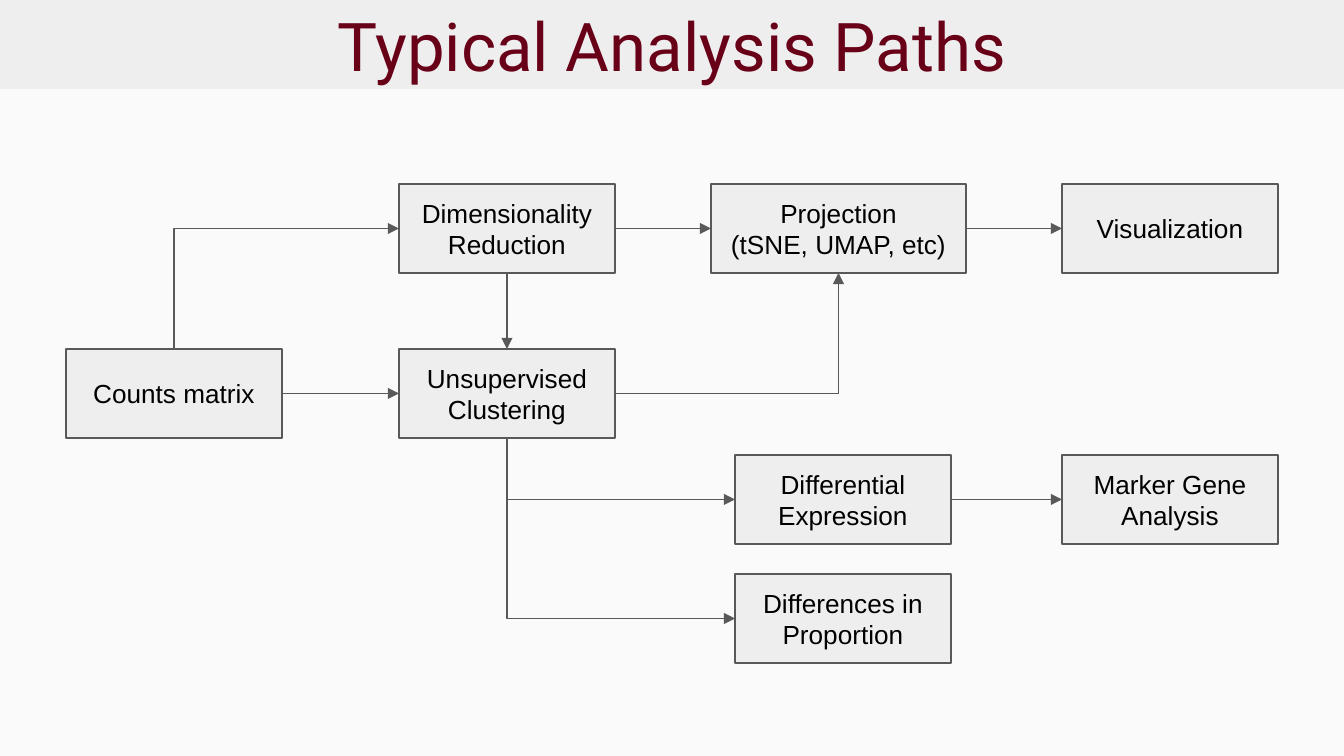
from dataclasses import dataclass

from lxml import etree
from pptx import Presentation
from pptx import util as u
from pptx.dml.color import RGBColor
from pptx.enum import shapes, text
from pptx.oxml.ns import qn

PX = 914400 / 134.4  # EMU in one px

PAPER = RGBColor(0xFA, 0xFA, 0xFA)
PANEL = RGBColor(0xEE, 0xEE, 0xEE)
GREY = RGBColor(0x59, 0x59, 0x59)
BLACK = RGBColor(0, 0, 0)
MAROON = RGBColor(0x68, 0x00, 0x18)

TOP, LEFT, BOTTOM, RIGHT = range(4)
BOX_WIDTH, BOX_HEIGHT = 216, 89
COUNTS_X, CORE_X, RESULT_X, FINAL_X = 66, 399, 735, 1062
PATH_Y, CLUSTER_Y, EXPRESSION_Y, PROPORTION_Y = 184, 349, 455, 574


@dataclass(frozen=True)
class Step:
    name: str
    label: str
    left: int
    top: int
    width: int = BOX_WIDTH


@dataclass(frozen=True)
class Arrow:
    source: str
    target: str
    leaves: int = RIGHT
    enters: int = LEFT

    @property
    def straight(self) -> bool:
        return (self.leaves + self.enters) % 2 == 0


STEPS = [
    Step("counts", "Counts matrix", COUNTS_X, CLUSTER_Y),
    Step("reduction", "Dimensionality Reduction", CORE_X, PATH_Y),
    Step("clustering", "Unsupervised Clustering", CORE_X, CLUSTER_Y),
    Step("projection", "Projection\n(tSNE, UMAP, etc)", 711, PATH_Y, 255),
    Step("visualization", "Visualization", FINAL_X, PATH_Y),
    Step("expression", "Differential Expression", RESULT_X, EXPRESSION_Y),
    Step("marker", "Marker Gene Analysis", FINAL_X, EXPRESSION_Y),
    Step("proportion", "Differences in Proportion", RESULT_X, PROPORTION_Y),
]
ARROWS = [
    Arrow("counts", "clustering"),
    Arrow("counts", "reduction", leaves=TOP),
    Arrow("reduction", "clustering", leaves=BOTTOM, enters=TOP),
    Arrow("reduction", "projection"),
    Arrow("clustering", "projection", enters=BOTTOM),
    Arrow("projection", "visualization"),
    Arrow("clustering", "expression", leaves=BOTTOM),
    Arrow("clustering", "proportion", leaves=BOTTOM),
    Arrow("expression", "marker"),
]


def px(length: float) -> u.Emu:
    return u.Emu(round(length * PX))


def write(box, words: str, *, font: str, size: int, color: RGBColor) -> None:
    frame = box.text_frame
    frame.word_wrap = True
    frame.auto_size = text.MSO_AUTO_SIZE.NONE
    frame.vertical_anchor = text.MSO_ANCHOR.MIDDLE
    frame.margin_left = frame.margin_right = u.Inches(0.1)
    frame.margin_top = frame.margin_bottom = u.Inches(0.1)
    para = frame.paragraphs[0]
    para.text = words
    para.alignment = text.PP_ALIGN.CENTER
    for span in para.runs:
        span.font.name = font
        span.font.size = u.Pt(size)
        span.font.color.rgb = color


def draw_step(page, step: Step):
    box = page.shapes.add_shape(
        shapes.MSO_SHAPE.RECTANGLE,
        px(step.left), px(step.top), px(step.width), px(BOX_HEIGHT))
    box.shadow.inherit = False
    box.fill.solid()
    box.fill.fore_color.rgb = PANEL
    box.line.color.rgb = GREY
    box.line.width = u.Pt(0.75)
    write(box, step.label, font="Arial", size=14, color=BLACK)
    return box


def side_middle(box, side: int) -> tuple[int, int]:
    across = {LEFT: 0, RIGHT: box.width}.get(side, box.width // 2)
    down = {TOP: 0, BOTTOM: box.height}.get(side, box.height // 2)
    return box.left + across, box.top + down


def bend_once(line, start: tuple[int, int], end: tuple[int, int],
              vertical_first: bool) -> None:
    """Give the connector a single corner, turned to leave the right side."""
    properties = line._element.spPr
    properties.find(qn("a:prstGeom")).set("prst", "bentConnector2")
    if not vertical_first:
        return
    (x1, y1), (x2, y2) = start, end
    # The frame is stored unrotated, about the same centre
    width, height = abs(y2 - y1), abs(x2 - x1)
    line.left = (x1 + x2 - width) // 2
    line.top = (y1 + y2 - height) // 2
    line.width, line.height = width, height
    frame = properties.find(qn("a:xfrm"))
    frame.set("rot", str(270 * 60000))
    frame.set("flipH", "1" if y2 > y1 else "0")
    frame.set("flipV", "0")


def draw_arrow(page, arrow: Arrow, boxes: dict) -> None:
    source, target = boxes[arrow.source], boxes[arrow.target]
    start = side_middle(source, arrow.leaves)
    end = side_middle(target, arrow.enters)
    kind = shapes.MSO_CONNECTOR.STRAIGHT if arrow.straight else shapes.MSO_CONNECTOR.ELBOW
    line = page.shapes.add_connector(kind, *start, *end)
    line.begin_connect(source, arrow.leaves)
    line.end_connect(target, arrow.enters)
    if not arrow.straight:
        bend_once(line, start, end, arrow.leaves in (TOP, BOTTOM))
    line.line.color.rgb = GREY
    line.line.width = u.Pt(0.75)
    etree.SubElement(line.line._get_or_add_ln(), qn("a:tailEnd"), type="triangle")
    etree.SubElement(line._element.spPr, qn("a:effectLst"))


def main() -> None:
    deck = Presentation()
    deck.slide_width, deck.slide_height = px(1344), px(756)
    page = deck.slides.add_slide(deck.slide_layouts[5])
    page.background.fill.solid()
    page.background.fill.fore_color.rgb = PAPER

    # Title band
    title = page.shapes.title
    title.left, title.top, title.width, title.height = 0, 0, px(1344), px(89)
    title.fill.solid()
    title.fill.fore_color.rgb = PANEL
    write(title, "Typical Analysis Paths", font="Roboto", size=36, color=MAROON)

    # Flow chart
    boxes = {step.name: draw_step(page, step) for step in STEPS}
    for arrow in ARROWS:
        draw_arrow(page, arrow, boxes)

    deck.save("out.pptx")


if __name__ == "__main__":
    main()
